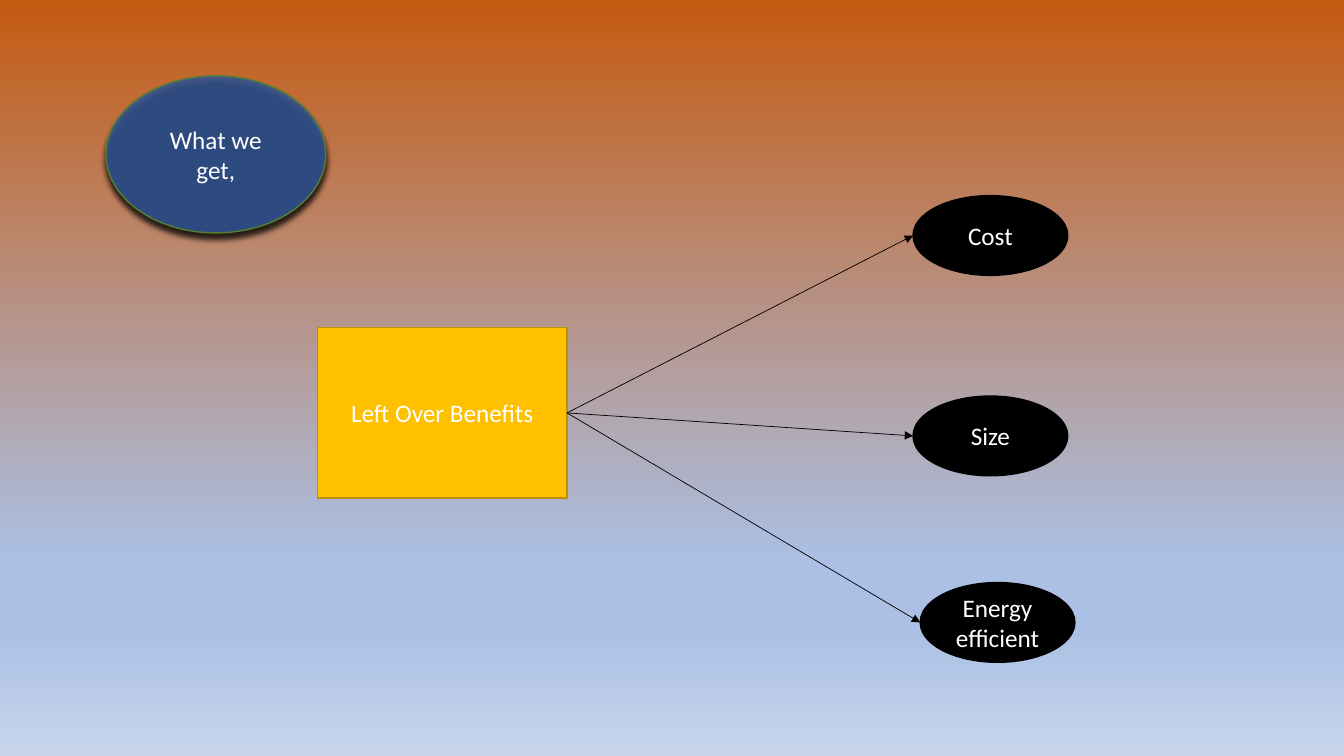
import pptx
import pptx.dml.color
import pptx.enum.shapes
import pptx.enum.text
import pptx.oxml
import pptx.oxml.ns
import pptx.util

Cm = pptx.util.Cm
Pt = pptx.util.Pt
RGB = pptx.dml.color.RGBColor.from_string
SHAPES = pptx.enum.shapes.MSO_SHAPE
NAMESPACE = pptx.oxml.ns.nsdecls("a")

THEME = {
    "sky": [(0, "C55A11"), (74, "ABC0E4"), (83, "ABC0E4"), (100, "C7D5ED")],
    "benefit": {"fill": "000000", "line": "000000"},
    "source": {"fill": "FFC000", "line": "BD8E00"},
    "heading": {"fill": "2F5597", "line": "538035"},
    "arrow": "000000",
    "outline": Pt(1),
    "arrow_width": Pt(0.5),
    "text": {"name": "Calibri", "size": Pt(18)},
    "text_color": "FFFFFF",
}


def add_label(page, kind, place, text, colors):
    box = page.shapes.add_shape(kind, *[Cm(length) for length in place])
    box.shadow.inherit = False
    box.fill.solid()
    box.fill.fore_color.rgb = RGB(colors["fill"])
    box.line.color.rgb = RGB(colors["line"])
    box.line.width = THEME["outline"]
    box.text_frame.word_wrap = True
    box.text_frame.vertical_anchor = pptx.enum.text.MSO_ANCHOR.MIDDLE
    para = box.text_frame.paragraphs[0]
    para.alignment = pptx.enum.text.PP_ALIGN.CENTER
    span = para.add_run()
    span.text = text
    for name, value in THEME["text"].items():
        setattr(span.font, name, value)
    span.font.color.rgb = RGB(THEME["text_color"])
    return box


deck = pptx.Presentation()
deck.slide_width = Cm(33.87)
deck.slide_height = Cm(19.05)
page = deck.slides.add_slide(deck.slide_layouts[6])

background = page.background.fill
background.gradient()
background.gradient_angle = 270
stops = page.background._cSld.find(".//" + pptx.oxml.ns.qn("a:gsLst"))
for stop in list(stops):
    stops.remove(stop)
for percent, color in THEME["sky"]:
    stops.append(pptx.oxml.parse_xml(
        f'<a:gs {NAMESPACE} pos="{percent * 1000}"><a:srgbClr val="{color}"/></a:gs>'))

benefits = [
    add_label(page, SHAPES.OVAL, (left, top, 3.9, 2.01), text, THEME["benefit"])
    for text, left, top in [
        ("Cost", 23.01, 4.93),
        ("Size", 23.01, 9.98),
        ("Energy efficient", 23.19, 14.68),
    ]
]
source = add_label(page, SHAPES.RECTANGLE, (8, 8.26, 6.29, 4.29),
                   "Left Over Benefits", THEME["source"])

for benefit in benefits:
    arrow = page.shapes.add_connector(
        pptx.enum.shapes.MSO_CONNECTOR.STRAIGHT,
        source.left + source.width, source.top + source.height // 2,
        benefit.left, benefit.top + benefit.height // 2)
    arrow.line.color.rgb = RGB(THEME["arrow"])
    arrow.line.width = THEME["arrow_width"]
    arrow.line._get_or_add_ln().append(
        pptx.oxml.parse_xml(f'<a:tailEnd {NAMESPACE} type="triangle"/>'))
    arrow._element.spPr.append(pptx.oxml.parse_xml(f"<a:effectLst {NAMESPACE}/>"))

heading = add_label(page, SHAPES.OVAL, (2.67, 1.91, 5.54, 3.96),
                    "What we get,", THEME["heading"])
properties = heading._element.spPr
fill_color = properties.find(
    pptx.oxml.ns.qn("a:solidFill") + "/" + pptx.oxml.ns.qn("a:srgbClr"))
fill_color.append(pptx.oxml.parse_xml(f'<a:alpha {NAMESPACE} val="83000"/>'))
properties.find(pptx.oxml.ns.qn("a:effectLst")).append(pptx.oxml.parse_xml(
    f'<a:outerShdw {NAMESPACE} blurRad="{Pt(4)}" dist="{Pt(4)}" dir="5400000" '
    'algn="ctr" rotWithShape="0"><a:srgbClr val="000000">'
    '<a:alpha val="92000"/></a:srgbClr></a:outerShdw>'))

deck.save("out.pptx")
